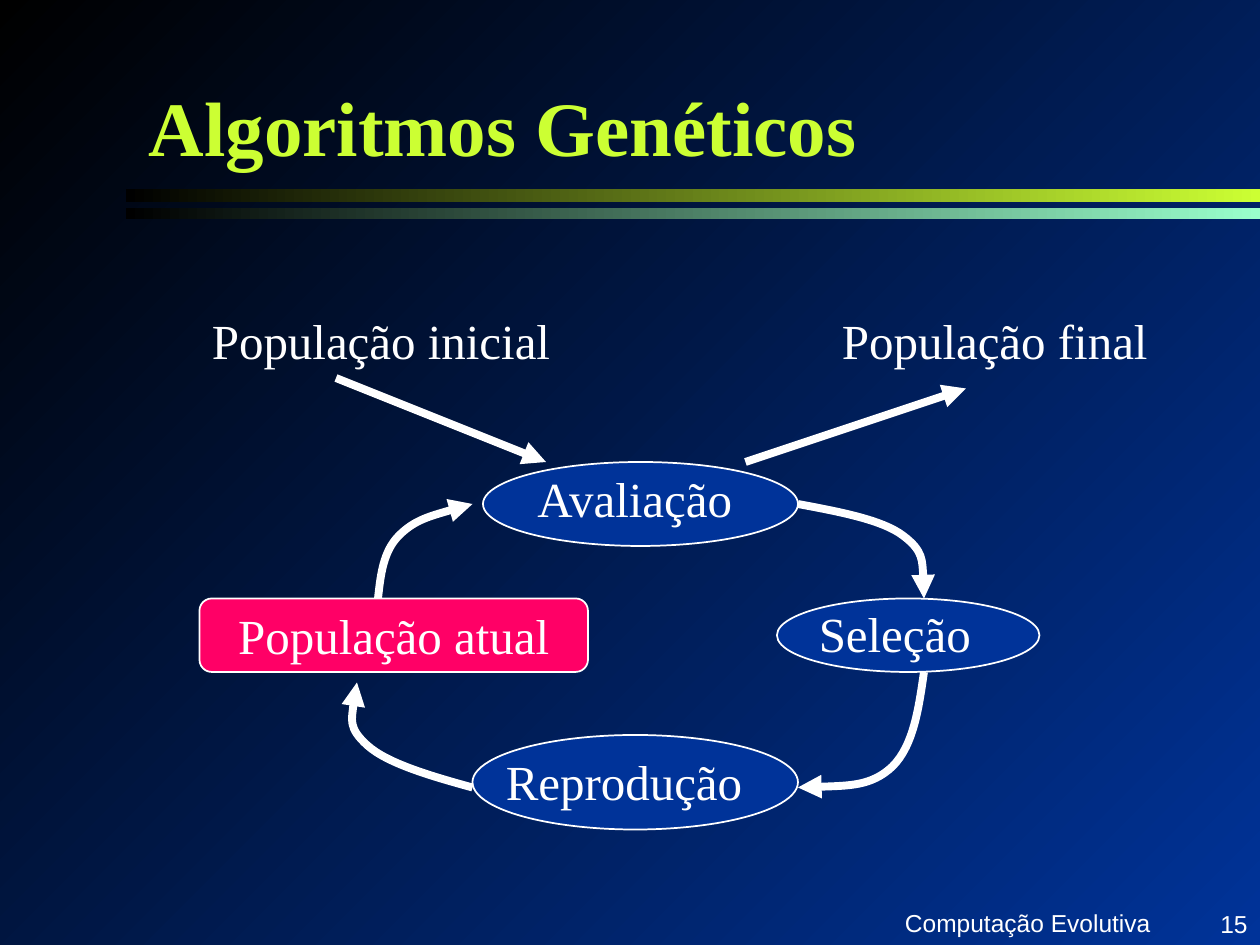
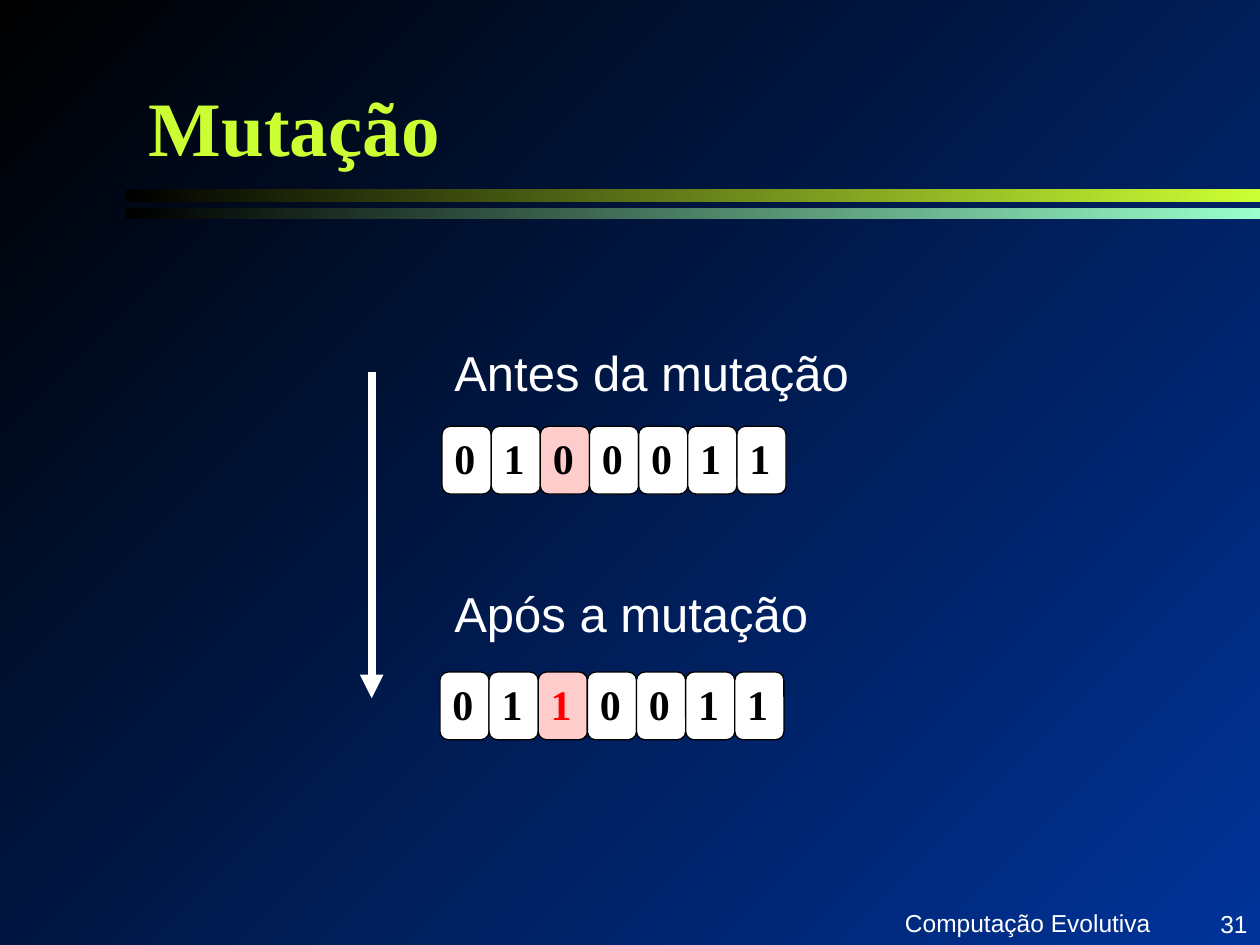
from lxml.etree import SubElement
from pptx import Presentation
from pptx.dml.color import RGBColor
from pptx.enum.shapes import MSO_CONNECTOR, MSO_SHAPE
from pptx.enum.text import MSO_ANCHOR as ANCHOR, PP_ALIGN as ALIGN
from pptx.oxml.ns import qn
from pptx.util import Inches, Pt

COLS, ROWS = 120, 90
UNIT = Inches(10) / COLS
SERIF, SANS = "Times New Roman", "Arial"
COLORS = {
    "black": "000000", "blue": "003399", "lime": "CCFF33", "mint": "99FFCC",
    "white": "FFFFFF", "pink": "FF0066", "rose": "FFCCCC", "red": "FF0000",
}

FOOTER = "Computação Evolutiva"
BANDS = [("lime", 18, 1.2), ("mint", 19.8, 1.08)]
BAND_LEFT = 12

CYCLE = {"title": "Algoritmos Genéticos", "number": "15"}
OVALS = [(46, 44, 30, 8), (74, 57, 25, 7), (45, 70, 31, 9)]
CURRENT = ("População atual", (19, 57, 37, 7))
LABEL_HEIGHT = 6.8
CYCLE_LABELS = [
    ("Reprodução", 47, 71, 25.5),
    ("Avaliação", 50, 44, 22),
    ("Seleção", 76.8, 56.9, 17.5),
    ("População inicial", 19, 29, 35.5),
    ("População final", 79, 29, 32.5),
]
CURVES = [
    [(36, 57), (36.25, 54.75), (36.5, 52.5), (38, 51), (39.5, 49.5), (42.25, 48.75), (45, 48)],
    [(76, 48), (80, 48.75), (84, 49.5), (86, 51), (88, 52.5), (88, 54.75), (88, 57)],
    [(88, 64), (87.5, 67.5), (87, 71), (85, 73), (83, 74.9), (79.5, 74.9), (76, 75)],
    [(45, 75), (41, 73.9), (36.9, 72.7), (35, 71), (33.1, 69.3), (33.6, 67.2), (34, 65)],
]
CYCLE_ARROWS = [((32, 36), (52, 44)), ((71, 44), (92, 37))]

MUTATION = {"title": "Mutação", "number": "31"}
MUTATION_LABELS = [("Antes da mutação", 42.1, 32, 41), ("Após a mutação", 42.1, 55, 37)]
GENES = [("0100011", 42.1, 40.6, "black"), ("0110011", 41.9, 64, "red")]
MUTATED = 2
GENE_WIDTH, GENE_HEIGHT = 4.68, 6.45
MUTATION_ARROW = ((35.4, 35.4), (35.4, 66.5))


def emu(*units):
    return [round(u * UNIT) for u in units]


def rgb(name):
    return RGBColor.from_string(COLORS[name])


def gradient(fill, start, end, angle):
    fill.gradient()
    fill.gradient_angle = angle
    for stop, name in zip(fill.gradient_stops, (start, end)):
        stop.color.rgb = rgb(name)


def write(sp, runs, font=SERIF, color="white", bold=False, align=ALIGN.LEFT,
          anchor=ANCHOR.TOP, wrap=False, insets=(0.1, 0.05)):
    tf = sp.text_frame
    tf.word_wrap = wrap
    tf.vertical_anchor = anchor
    tf.margin_left = tf.margin_right = Inches(insets[0])
    tf.margin_top = tf.margin_bottom = Inches(insets[1])
    p = tf.paragraphs[0]
    p.alignment = align
    for text, size in runs:
        r = p.add_run()
        r.text = text
        r.font.name, r.font.size, r.font.bold = font, Pt(size), bold
        r.font.color.rgb = rgb(color)


def text_box(s, box, runs, **style):
    write(s.shapes.add_textbox(*emu(*box)), runs, **style)


def labels(s, items, font):
    for text, x, y, width in items:
        text_box(s, (x, y, width, LABEL_HEIGHT), [(text, 28)], font=font, wrap=True)


def outlined(s, kind, box, fill, line="white", weight=1):
    sp = s.shapes.add_shape(kind, *emu(*box))
    sp.shadow.inherit = False
    sp.fill.solid()
    sp.fill.fore_color.rgb = rgb(fill)
    sp.line.color.rgb = rgb(line)
    sp.line.width = Pt(weight)
    return sp


def arrow_line(sp):
    sp.line.color.rgb = rgb("white")
    sp.line.width = Pt(4.5)
    SubElement(sp.line._get_or_add_ln(), qn("a:tailEnd"), type="triangle")


def arrow(s, start, end):
    sp = s.shapes.add_connector(MSO_CONNECTOR.STRAIGHT, *emu(*start, *end))
    arrow_line(sp)
    SubElement(sp._element.spPr, qn("a:effectLst"))


def curved_arrow(s, points):
    start, *rest = [emu(*point) for point in points]
    builder = s.shapes.build_freeform(*start)
    builder.add_line_segments(rest, close=False)
    sp = builder.convert_to_shape()
    outline = sp._element.find(".//" + qn("a:path"))
    steps = outline.findall(qn("a:lnTo"))
    for i in range(0, len(steps), 3):
        bezier = SubElement(outline, qn("a:cubicBezTo"))
        for step in steps[i:i + 3]:
            bezier.append(step[0])
            outline.remove(step)
    sp.shadow.inherit = False
    sp.fill.background()
    arrow_line(sp)


def base_slide(prs, title, number):
    s = prs.slides.add_slide(prs.slide_layouts[6])
    gradient(s.background.fill, "black", "blue", 315)
    for color, top, height in BANDS:
        sp = s.shapes.add_shape(MSO_SHAPE.RECTANGLE, *emu(BAND_LEFT, top, COLS - BAND_LEFT, height))
        sp.shadow.inherit = False
        gradient(sp.fill, "black", color, 0)
        sp.line.fill.background()
    text_box(s, (85, 85.6, 26.5, 4.4), [(FOOTER, 14), (" ", 16)], font=SANS)
    text_box(s, (110, 86, 10, 4), [(number, 14)], font=SANS, align=ALIGN.RIGHT, anchor=ANCHOR.MIDDLE)
    text_box(s, (13, 2, 103, 15), [(title, 44)], color="lime", bold=True,
             anchor=ANCHOR.BOTTOM, wrap=True)
    return s


def cycle_slide(prs):
    s = base_slide(prs, **CYCLE)
    for box in OVALS:
        outlined(s, MSO_SHAPE.OVAL, box, "blue")
    text, box = CURRENT
    sp = outlined(s, MSO_SHAPE.ROUNDED_RECTANGLE, box, "pink")
    write(sp, [(text, 28)], align=ALIGN.CENTER, anchor=ANCHOR.MIDDLE)
    labels(s, CYCLE_LABELS, SERIF)
    for points in CURVES:
        curved_arrow(s, points)
    for start, end in CYCLE_ARROWS:
        arrow(s, start, end)


def mutation_slide(prs):
    s = base_slide(prs, **MUTATION)
    for bits, left, top, mutated_color in GENES:
        for i, bit in enumerate(bits):
            fill, color = ("rose", mutated_color) if i == MUTATED else ("white", "black")
            box = (left + i * GENE_WIDTH, top, GENE_WIDTH, GENE_HEIGHT)
            sp = outlined(s, MSO_SHAPE.ROUNDED_RECTANGLE, box, fill, "black", 0.75)
            write(sp, [(bit, 24)], color=color, bold=True, wrap=True, insets=(0.08, 0.03))
    arrow(s, *MUTATION_ARROW)
    labels(s, MUTATION_LABELS, SANS)


def main():
    """Build the genetic algorithm slides and save them."""
    prs = Presentation()
    prs.slide_width, prs.slide_height = emu(COLS, ROWS)
    cycle_slide(prs)
    mutation_slide(prs)
    prs.save("out.pptx")


if __name__ == "__main__":
    main()
